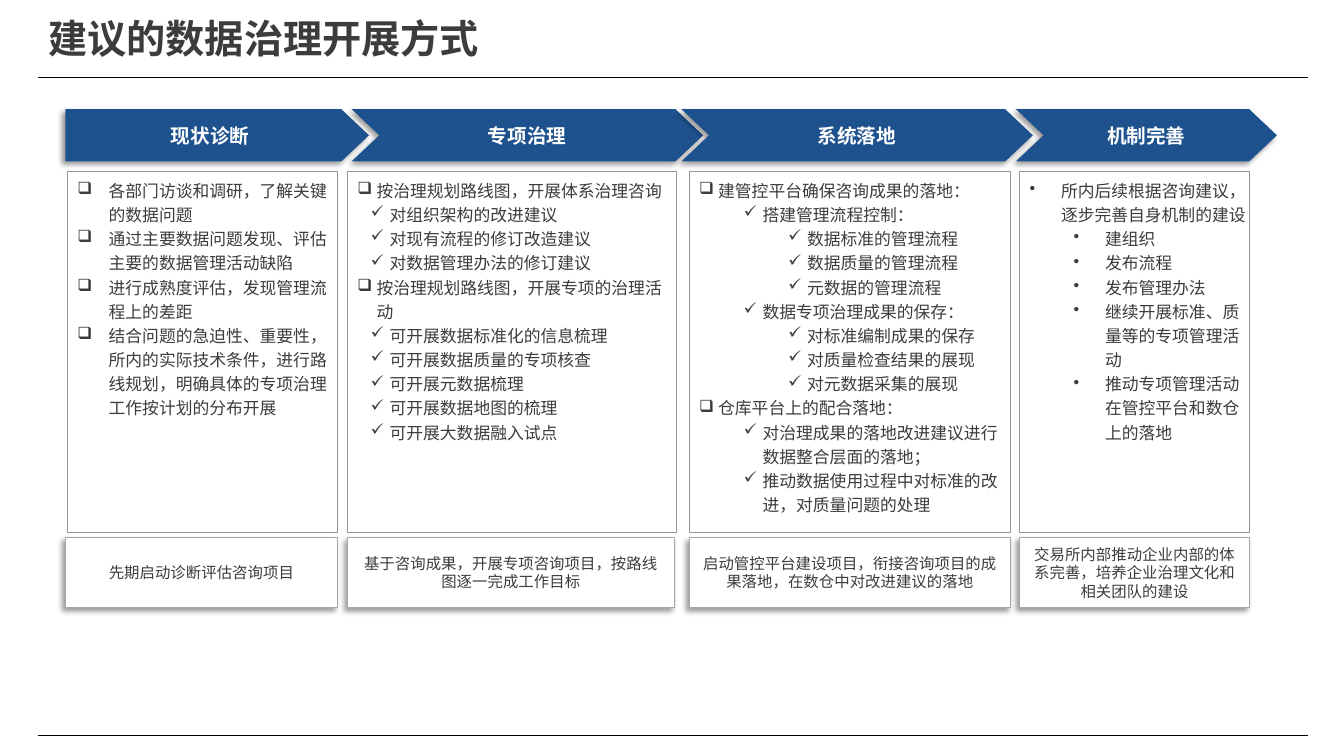
from dataclasses import dataclass

from lxml import etree
from pptx import Presentation
from pptx.dml.color import RGBColor
from pptx.enum.shapes import MSO_CONNECTOR, MSO_SHAPE
from pptx.enum.text import MSO_ANCHOR, MSO_AUTO_SIZE, PP_ALIGN
from pptx.oxml import parse_xml
from pptx.oxml.ns import nsdecls, qn
from pptx.util import Cm, Pt

LINE = MSO_CONNECTOR.STRAIGHT
RECT, PLATE, CHEVRON = MSO_SHAPE.RECTANGLE, MSO_SHAPE.PENTAGON, MSO_SHAPE.CHEVRON
LEFT, CENTER = PP_ALIGN.LEFT, PP_ALIGN.CENTER
TOP, MIDDLE = MSO_ANCHOR.TOP, MSO_ANCHOR.MIDDLE
NO_FIT = MSO_AUTO_SIZE.NONE


@dataclass(frozen=True)
class Theme:
    font: str = "Noto Sans CJK SC"
    ink: str = "3C3C3B"
    white: str = "FFFFFF"
    blue: str = "1D528E"
    rule: str = "000000"
    frame: str = "969696"
    edge: str = "A6A6A6"
    title: int = 28
    head: int = 14
    body: int = 12
    note: int = 11


class Deck:
    def __init__(self, theme):
        self.theme = theme
        self.file = Presentation()
        self.file.slide_width, self.file.slide_height = Cm(33.87), Cm(19.05)
        self.slide = self.file.slides.add_slide(self.file.slide_layouts[5])

    def run(self, para, text, size, color, bold=False):
        run = para.add_run()
        run.text = text
        font = run.font
        font.name, font.size, font.bold = self.theme.font, Pt(size), bold
        font.color.rgb = RGBColor.from_string(color)
        east = etree.Element(qn("a:ea"), typeface=self.theme.font)
        font._element.find(qn("a:latin")).addnext(east)

    def frame(self, shape, anchor, pads):
        frame = shape.text_frame
        frame.word_wrap, frame.auto_size = True, NO_FIT
        frame.vertical_anchor = anchor
        (frame.margin_left, frame.margin_top,
         frame.margin_right, frame.margin_bottom) = map(Cm, pads)
        return frame

    def title(self, text):
        shape = self.slide.shapes.title
        shape.left, shape.top, shape.width, shape.height = map(Cm, (0.97, 0, 31.98, 1.93))
        para = self.frame(shape, MIDDLE, (0.25, 0.13, 0.25, 0.13)).paragraphs[0]
        para.alignment = LEFT
        self.run(para, text, self.theme.title, self.theme.ink, True)

    def rule(self, y):
        line = self.slide.shapes.add_connector(LINE, Cm(0.97), Cm(y), Cm(32.97), Cm(y))
        line.line.color.rgb = RGBColor.from_string(self.theme.rule)
        line.line.width = Pt(0.5)
        etree.SubElement(line._element.spPr, qn("a:effectLst"))

    def shape(self, kind, box, fill=None, edge=None, shade=False):
        shape = self.slide.shapes.add_shape(kind, *map(Cm, box))
        shape.shadow.inherit = False
        if fill:
            shape.fill.solid()
            shape.fill.fore_color.rgb = RGBColor.from_string(fill)
        else:
            shape.fill.background()
        if edge:
            shape.line.color.rgb = RGBColor.from_string(edge)
            shape.line.width = Pt(0.75)
        else:
            shape.line.fill.background()
        if shade:
            effects = shape._element.spPr.find(qn("a:effectLst"))
            effects.append(parse_xml(
                f'<a:outerShdw {nsdecls("a")} blurRad="{Pt(4)}" dist="{Pt(3)}" '
                'dir="8100000" algn="tr" rotWithShape="0"><a:srgbClr val="000000">'
                '<a:alpha val="40000"/></a:srgbClr></a:outerShdw>'))
        return shape

    def arrow(self, kind, box, text):
        shape = self.shape(kind, box, self.theme.blue, shade=True)
        shape.adjustments[0] = 0.53
        para = self.frame(shape, MIDDLE, (0, 0.25, 0, 0.25)).paragraphs[0]
        para.alignment = CENTER
        self.run(para, text, self.theme.head, self.theme.white, True)

    def note(self, box, text):
        shape = self.shape(RECT, box, self.theme.white, self.theme.edge, True)
        para = self.frame(shape, MIDDLE, (0.25, 0.13, 0.25, 0.13)).paragraphs[0]
        para.alignment = CENTER
        self.run(para, text, self.theme.note, self.theme.ink)

    def panel(self, box, marks, steps, hang, items):
        shape = self.shape(RECT, box, edge=self.theme.frame)
        frame = self.frame(shape, TOP, (0.25, 0.13, 0.05, 0.13))
        for i, (level, text) in enumerate(items):
            para = frame.add_paragraph() if i else frame.paragraphs[0]
            props = para._p.get_or_add_pPr()
            props.set("marL", str(Cm(steps[level])))
            props.set("indent", str(-Cm(hang)))
            etree.SubElement(props, qn("a:buChar"), char=marks[level])
            para.level, para.alignment, para.line_spacing = level, LEFT, 1.2
            self.run(para, text, self.theme.body, self.theme.ink)


# Each stage: heading, arrow, panel and note spans (left, width), list style, items, note
STAGES = [
    ("现状诊断", (1.65, 7.65), (1.7, 6.81), (1.65, 6.86), "❑", (0.79,), 0.79, [
        (0, "各部门访谈和调研，了解关键的数据问题"),
        (0, "通过主要数据问题发现、评估主要的数据管理活动缺陷"),
        (0, "进行成熟度评估，发现管理流程上的差距"),
        (0, "结合问题的急迫性、重要性，所内的实际技术条件，进行路线规划，"
            "明确具体的专项治理工作按计划的分布开展"),
    ], "先期启动诊断评估咨询项目"),
    ("专项治理", (8.86, 8.86), (8.76, 8.28), (8.76, 8.23), "❑✓", (0.48, 0.81), 0.48, [
        (0, "按治理规划路线图，开展体系治理咨询"),
        (1, "对组织架构的改进建议"),
        (1, "对现有流程的修订改造建议"),
        (1, "对数据管理办法的修订建议"),
        (0, "按治理规划路线图，开展专项的治理活动"),
        (1, "可开展数据标准化的信息梳理"),
        (1, "可开展数据质量的专项核查"),
        (1, "可开展元数据梳理"),
        (1, "可开展数据地图的梳理"),
        (1, "可开展大数据融入试点"),
    ], "基于咨询成果，开展专项咨询项目，按路线图逐一完成工作目标"),
    ("系统落地", (17.17, 8.86), (17.37, 8.1), (17.37, 8.1), "❑✓✓", (0.48, 1.6, 2.72), 0.48, [
        (0, "建管控平台确保咨询成果的落地："),
        (1, "搭建管理流程控制："),
        (2, "数据标准的管理流程"),
        (2, "数据质量的管理流程"),
        (2, "元数据的管理流程"),
        (1, "数据专项治理成果的保存："),
        (2, "对标准编制成果的保存"),
        (2, "对质量检查结果的展现"),
        (2, "对元数据采集的展现"),
        (0, "仓库平台上的配合落地："),
        (1, "对治理成果的落地改进建议进行数据整合层面的落地；"),
        (1, "推动数据使用过程中对标准的改进，对质量问题的处理"),
    ], "启动管控平台建设项目，衔接咨询项目的成果落地，在数仓中对改进建议的落地"),
    ("机制完善", (25.6, 6.58), (25.7, 5.79), (25.7, 5.79), "••", (0.79, 1.9), 0.79, [
        (0, "所内后续根据咨询建议，逐步完善自身机制的建设"),
        (1, "建组织"),
        (1, "发布流程"),
        (1, "发布管理办法"),
        (1, "继续开展标准、质量等的专项管理活动"),
        (1, "推动专项管理活动在管控平台和数仓上的落地"),
    ], "交易所内部推动企业内部的体系完善，培养企业治理文化和相关团队的建设"),
]


def main():
    deck = Deck(Theme())
    # Title and rules
    deck.title("建议的数据治理开展方式")
    for y in (1.94, 18.52):
        deck.rule(y)
    # Stages: arrow, panel and note in each column
    for i, (head, arrow, panel, note, marks, steps, hang, items, text) in enumerate(STAGES):
        deck.arrow(CHEVRON if i else PLATE, (arrow[0], 2.75, arrow[1], 1.32), head)
        deck.panel((panel[0], 4.32, panel[1], 9.1), marks, steps, hang, items)
        deck.note((note[0], 13.55, note[1], 1.75), text)
    deck.file.save("out.pptx")


if __name__ == "__main__":
    main()
